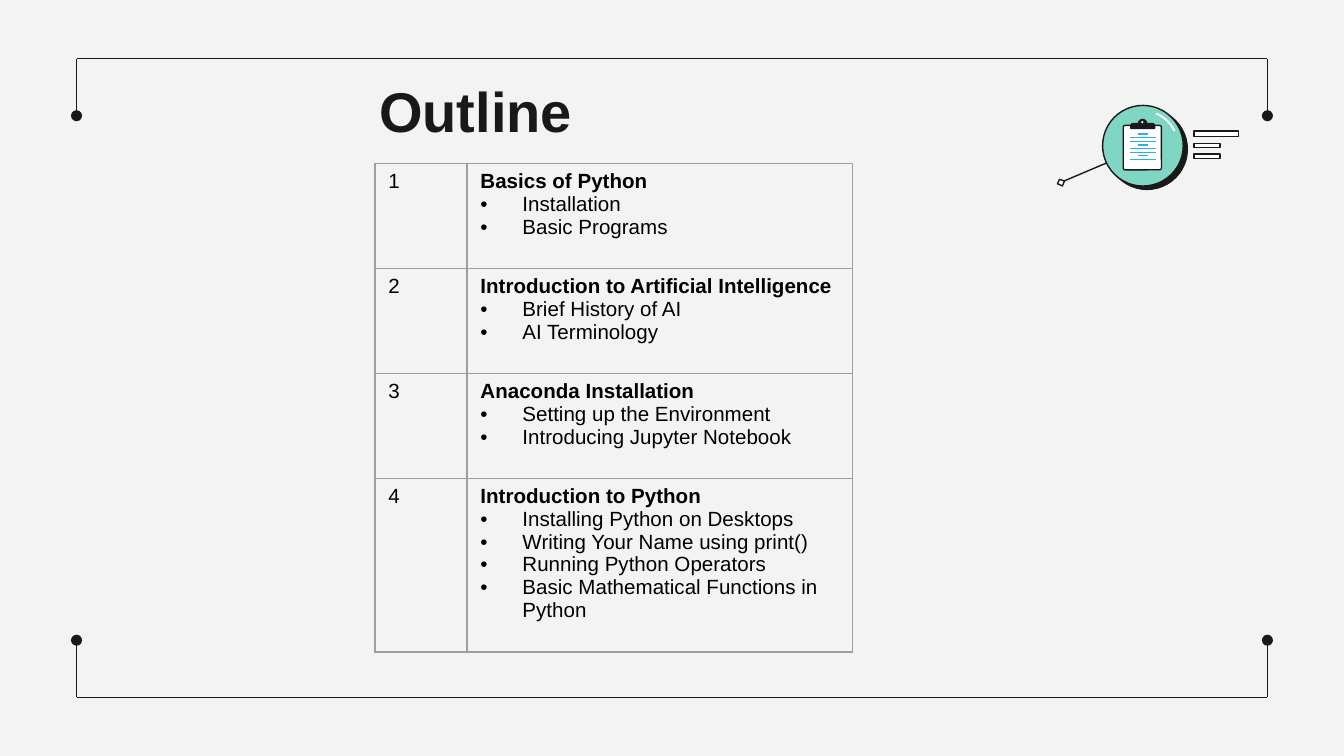
"""Build an outline slide with a framed table and a clipboard badge."""
from lxml import etree
from pptx import Presentation
from pptx.dml.color import RGBColor
from pptx.enum import shapes as kinds, text
from pptx.oxml import ns
from pptx.util import Pt

INK = RGBColor(0x19, 0x19, 0x19)
PAPER = RGBColor(0xF3, 0xF3, 0xF3)
WHITE = RGBColor(0xFF, 0xFF, 0xFF)
BLACK = RGBColor(0x00, 0x00, 0x00)
MINT = RGBColor(0x7F, 0xD6, 0xC3)
BLUE = RGBColor(0x2A, 0xAF, 0xEB)
GREY = RGBColor(0x9E, 0x9E, 0x9E)
FORM = kinds.MSO_SHAPE

TOPICS = [
    ("Basics of Python", ["Installation", "Basic Programs"]),
    ("Introduction to Artificial Intelligence",
     ["Brief History of AI", "AI Terminology"]),
    ("Anaconda Installation",
     ["Setting up the Environment", "Introducing Jupyter Notebook"]),
    ("Introduction to Python",
     ["Installing Python on Desktops", "Writing Your Name using print()",
      "Running Python Operators", "Basic Mathematical Functions in Python"]),
]


def node(parent, tag, **attrs):
    """Append a drawing element to a parent."""
    return etree.SubElement(parent, ns.qn(tag), attrs)


def style(font, size, color, bold):
    """Set the look of a font."""
    look = {"name": "Arial", "size": Pt(size), "bold": bold}
    for key, value in look.items():
        setattr(font, key, value)
    font.color.rgb = color


def paint(shape, fill, line, width=0.75):
    """Set fill and outline, without a shadow."""
    shape.shadow.inherit = False
    if fill is None:
        shape.fill.background()
    else:
        shape.fill.solid()
        shape.fill.fore_color.rgb = fill
    shape.line.color.rgb = line
    shape.line.width = Pt(width)


def form(slide, kind, box, fill, line=INK, width=0.75):
    """Add a preset shape in a box of points."""
    shape = slide.shapes.add_shape(kind, *map(Pt, box))
    paint(shape, fill, line, width)
    return shape


def rule(slide, ends, color=INK, width=0.75, dot=False):
    """Add a straight line, with a round end if asked."""
    line = slide.shapes.add_connector(
        kinds.MSO_CONNECTOR.STRAIGHT, *map(Pt, ends))
    line.line.color.rgb = color
    line.line.width = Pt(width)
    if dot:
        node(line.line._get_or_add_ln(), "a:tailEnd", type="oval")
    node(line._element.spPr, "a:effectLst")


def frame(slide):
    """Draw the upper and lower brackets."""
    left, right = 41, 679
    for edge, stop in ((31.4, 62), (373.6, 343)):
        rule(slide, (left, edge, right, edge))
        for side in (left, right):
            rule(slide, (side, edge, side, stop), dot=True)


def head(slide):
    """Place and format the title."""
    title = slide.shapes.title
    place = {"left": 196, "top": 34, "width": 216, "height": 45}
    for key, value in place.items():
        setattr(title, key, Pt(value))
    body = title.text_frame
    look = {"margin_left": Pt(7.2), "margin_top": Pt(7.2),
            "margin_bottom": Pt(0), "word_wrap": True,
            "auto_size": text.MSO_AUTO_SIZE.NONE,
            "vertical_anchor": text.MSO_ANCHOR.TOP}
    for key, value in look.items():
        setattr(body, key, value)
    para = body.paragraphs[0]
    para.alignment = text.PP_ALIGN.LEFT
    run = para.add_run()
    run.text = "Outline"
    style(run.font, 30, INK, True)


def badge(slide):
    """Draw the clipboard badge with its pointer and bars."""
    for top, wide, high in ((70.2, 23.8, 3), (76.8, 13.8, 2.4), (82.6, 13.8, 2.4)):
        form(slide, FORM.RECTANGLE, (639.7, top, wide, high), WHITE)
    rule(slide, (592.6, 87.4, 569.5, 97.2))
    spots = [(567.6, 96.1), (566.5, 98.5), (569.2, 99.6), (570.2, 97)]
    tip = [(Pt(x), Pt(y)) for x, y in spots]
    pen = slide.shapes.build_freeform(*tip[0])
    pen.add_line_segments(tip[1:])
    paint(pen.convert_to_shape(), WHITE, INK)
    form(slide, FORM.OVAL, (592.9, 58.3, 43.2, 43.2), INK)
    form(slide, FORM.OVAL, (590.7, 56.5, 43.2, 43.2), MINT)
    glow = form(slide, FORM.ARC, (593.6, 59.4, 37.4, 37.4), None, WHITE, 1)
    for spot, angle in enumerate((292, 335)):
        glow.adjustments[spot] = angle * 0.6
    sheet = form(slide, FORM.ROUNDED_RECTANGLE, (601.7, 67.2, 20.5, 23.8), WHITE)
    sheet.adjustments[0] = 0.05
    clip = form(slide, FORM.ROUND_2_SAME_RECTANGLE, (605.8, 66.2, 12.8, 2.6), INK)
    clip.adjustments[0] = 0.5
    form(slide, FORM.OVAL, (609.9, 64, 4.4, 4.4), INK)
    form(slide, FORM.OVAL, (611.1, 64.6, 1.8, 1.8), WHITE, INK, 0.5)
    for row in range(8):
        half = 2.5 if row % 3 == 0 else 6.8
        y = 71.8 + row * 1.95
        rule(slide, (612.3 - half, y, 612.3 + half, y), BLUE, 0.7)


def edge(cell):
    """Give a cell thin borders and no fill."""
    props = cell._tc.get_or_add_tcPr()
    for side in "LRTB":
        line = node(props, f"a:ln{side}", w=str(Pt(0.75)))
        node(node(line, "a:solidFill"), "a:srgbClr", val=str(GREY))
    cell.fill.background()


def write(para, words, bold=False, bullet=False):
    """Write one paragraph of a cell."""
    if bullet:
        props = para._p.get_or_add_pPr()
        props.set("marL", str(Pt(22.5)))
        props.set("indent", str(Pt(-22.5)))
        node(node(props, "a:buClr"), "a:srgbClr", val=str(BLACK))
        node(props, "a:buFont", typeface="Arial")
        node(props, "a:buChar", char="•")
    run = para.add_run()
    run.text = words
    style(run.font, 11, BLACK, bold)


def grid(slide):
    """Add the table of topics."""
    wides, highs = (49.3, 206.5), (56.2, 56.2, 56.2, 93.2)
    table = slide.shapes.add_table(
        len(highs), len(wides), Pt(200.9), Pt(87.6),
        Pt(sum(wides)), Pt(sum(highs))).table
    table.first_row = table.horz_banding = False
    for col, wide in zip(table.columns, wides):
        col.width = Pt(wide)
    for spot, (high, (name, items)) in enumerate(zip(highs, TOPICS)):
        table.rows[spot].height = Pt(high)
        count, topic = table.rows[spot].cells
        edge(count)
        edge(topic)
        write(count.text_frame.paragraphs[0], str(spot + 1))
        write(topic.text_frame.paragraphs[0], name, bold=True)
        for item in items:
            write(topic.text_frame.add_paragraph(), item, bullet=True)


def main():
    """Build and save the slide."""
    deck = Presentation()
    deck.slide_width, deck.slide_height = Pt(720), Pt(405)
    slide = deck.slides.add_slide(deck.slide_layouts[5])
    slide.background.fill.solid()
    slide.background.fill.fore_color.rgb = PAPER
    frame(slide)
    head(slide)
    badge(slide)
    grid(slide)
    deck.save("out.pptx")


if __name__ == "__main__":
    main()
